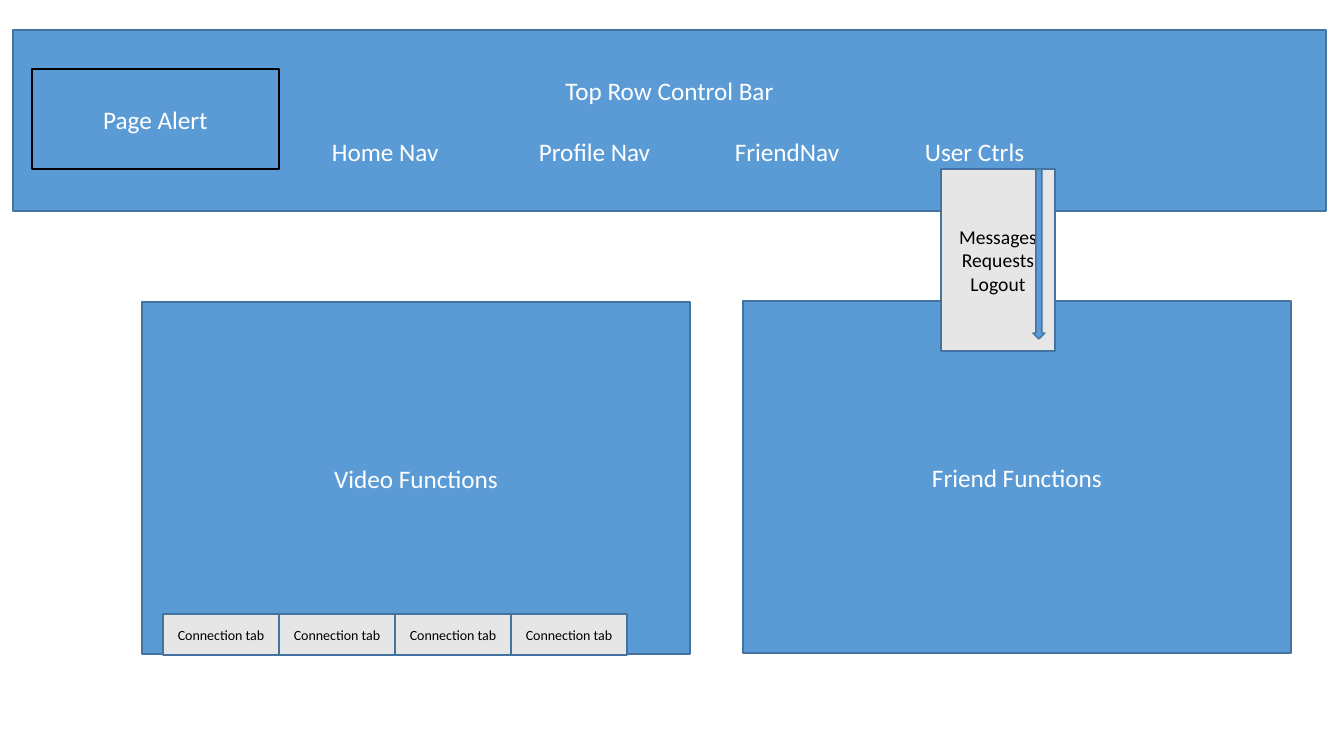
from dataclasses import dataclass

from lxml import etree
from pptx import Presentation
from pptx import util as u
from pptx.dml.color import RGBColor
from pptx.enum import shapes, text
from pptx.oxml.ns import qn

# Content: boxes are (left, top, width, height) in px
SLIDE = (1344, 756)
CONTROL_BAR = (13, 30, 1313, 181)
BAR_TITLE = "Top Row Control Bar"
NAV = [("Home Nav", 309), ("Profile Nav", 516), ("FriendNav", 712), ("User Ctrls", 902)]
PAGE_ALERT = ("Page Alert", (32, 69, 247, 100))
PANELS = [
    ("Video Functions", (142, 302, 548, 352)),
    ("Friend Functions", (743, 301, 548, 352)),
]
CONNECTION_TABS = ["Connection tab"] * 4
FIRST_TAB = (163, 614, 116, 41)
USER_MENU = ["Messages", "Requests", "Logout"]
MENU_BOX = (941, 169, 114, 182)
MENU_ARROW = (1033, 169, 12, 170)


@dataclass(frozen=True)
class Theme:
    font: str = "Calibri"
    blue: str = "5B9BD5"
    edge: str = "43739E"
    grey: str = "E7E6E6"
    white: str = "FFFFFF"
    black: str = "000000"
    heading: int = 18
    menu: int = 14
    tab: int = 10
    line: int = 1


THEME = Theme()
PX_PER_INCH = 100.8


def px(length):
    return round(length * u.Inches(1) / PX_PER_INCH)


def add_block(slide, box, lines=(), size=THEME.heading, fill=THEME.blue,
              color=THEME.white, edge=THEME.edge,
              kind=shapes.MSO_SHAPE.RECTANGLE):
    """Add a filled, outlined shape with one centred paragraph per line."""
    block = slide.shapes.add_shape(kind, *map(px, box))
    block.shadow.inherit = False
    block.fill.solid()
    block.fill.fore_color.rgb = RGBColor.from_string(fill)
    block.line.color.rgb = RGBColor.from_string(edge)
    block.line.width = u.Pt(THEME.line)
    if lines:
        frame = block.text_frame
        frame.word_wrap = True
        frame.vertical_anchor = text.MSO_ANCHOR.MIDDLE
        frame.text = "\n".join(lines)
        for paragraph in frame.paragraphs:
            paragraph.alignment = text.PP_ALIGN.CENTER
            for run in paragraph.runs:
                run.font.name = THEME.font
                run.font.size = u.Pt(size)
                run.font.color.rgb = RGBColor.from_string(color)
    return block


def set_tab_stops(paragraph, stops):
    tab_list = etree.SubElement(paragraph._p.get_or_add_pPr(), qn("a:tabLst"))
    for stop in stops:
        etree.SubElement(tab_list, qn("a:tab"), pos=str(px(stop)), algn="l")


def add_control_bar(slide):
    nav_line = "".join("\t" + label for label, _ in NAV)
    bar = add_block(slide, CONTROL_BAR, [BAR_TITLE, nav_line])
    nav = bar.text_frame.paragraphs[1]
    nav.alignment = text.PP_ALIGN.LEFT
    nav.space_before = u.Pt(22)
    set_tab_stops(nav, [stop for _, stop in NAV])


def main():
    prs = Presentation()
    prs.slide_width, prs.slide_height = map(px, SLIDE)
    slide = prs.slides.add_slide(prs.slide_layouts[6])

    add_control_bar(slide)
    alert, alert_box = PAGE_ALERT
    add_block(slide, alert_box, [alert], edge=THEME.black)
    for title, box in PANELS:
        add_block(slide, box, [title])

    left, top, width, height = FIRST_TAB
    for i, label in enumerate(CONNECTION_TABS):
        add_block(slide, (left + i * width, top, width, height), [label],
                  THEME.tab, THEME.grey, THEME.black)

    add_block(slide, MENU_BOX, USER_MENU, THEME.menu, THEME.grey, THEME.black)
    add_block(slide, MENU_ARROW, kind=shapes.MSO_SHAPE.DOWN_ARROW)
    prs.save("out.pptx")


if __name__ == "__main__":
    main()
